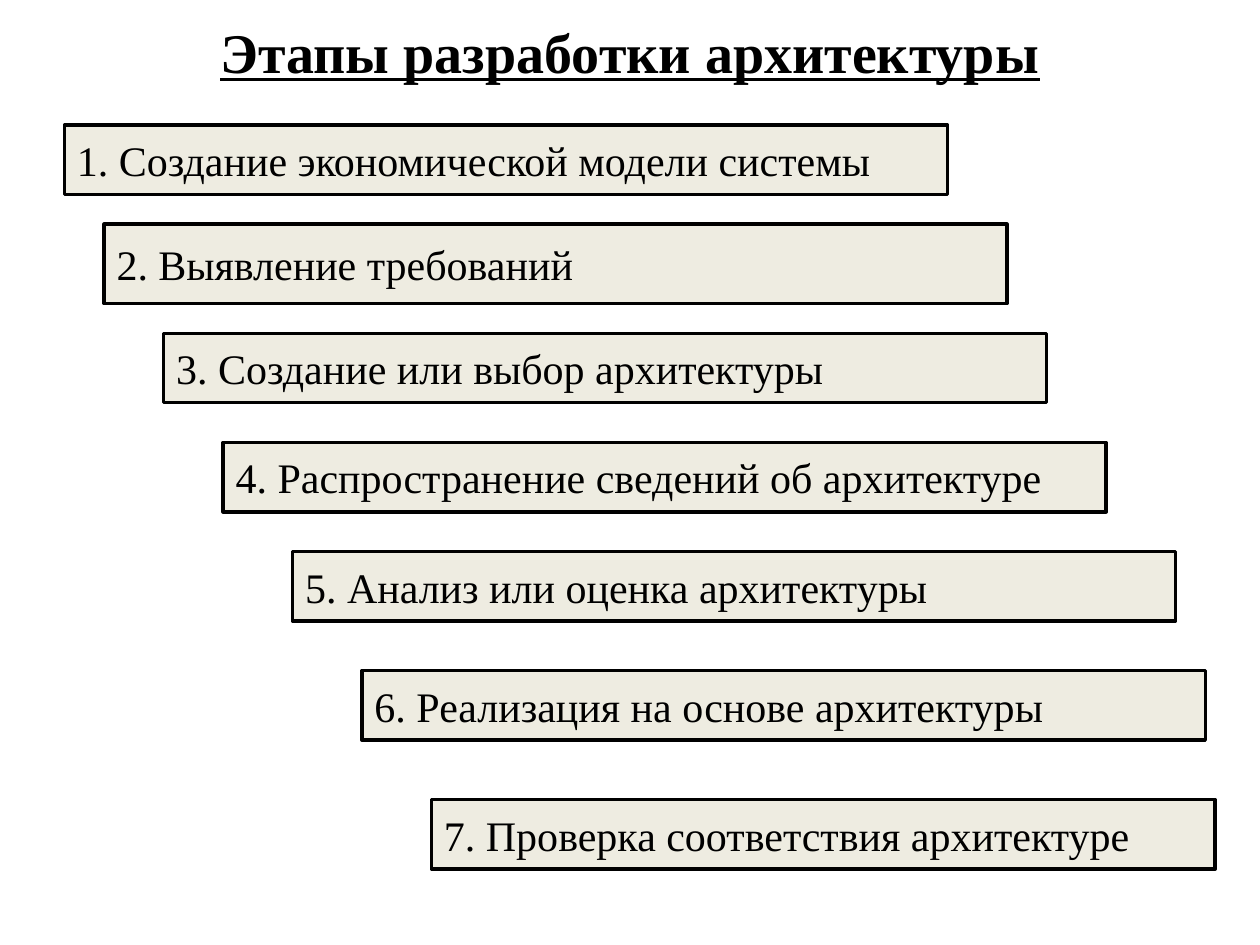
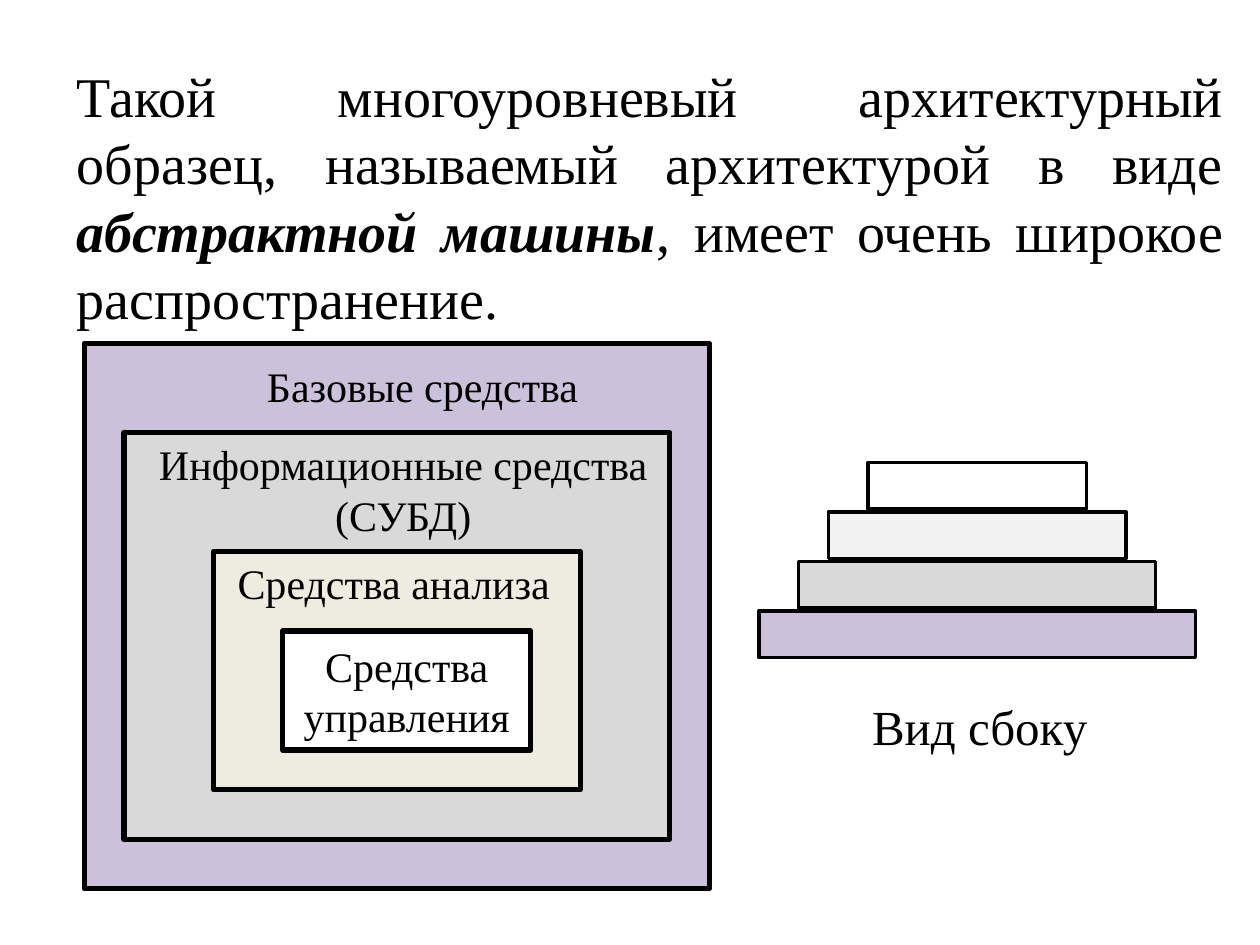
"""Two slides: the stages of architecture design and the abstract machine pattern."""
from pptx import Presentation
from pptx import util as u
from pptx.dml.color import RGBColor
from pptx.enum import shapes, text

BLACK = RGBColor(0x00, 0x00, 0x00)
WHITE = RGBColor(0xFF, 0xFF, 0xFF)
CREAM = RGBColor(0xEE, 0xEC, 0xE1)
PALE = RGBColor(0xF2, 0xF2, 0xF2)
GREY = RGBColor(0xD9, 0xD9, 0xD9)
LILAC = RGBColor(0xCC, 0xC1, 0xDA)

FONT = "Times New Roman"
LINE_HEIGHT = 1.2
CELL = u.Mm(2)
ORIGIN = (0.5, 0.6)

LEFT = text.PP_ALIGN.LEFT
CENTER = text.PP_ALIGN.CENTER
JUSTIFY = text.PP_ALIGN.JUSTIFY
TOP = text.MSO_ANCHOR.TOP
MIDDLE = text.MSO_ANCHOR.MIDDLE

STAGES = [
    ("1. Создание экономической модели системы", 6, 12, 89, 7),
    ("2. Выявление требований", 10, 22, 91, 8),
    ("3. Создание или выбор архитектуры", 16, 33, 89, 7),
    ("4. Распространение сведений об архитектуре", 22, 44, 89, 7),
    ("5. Анализ или оценка архитектуры", 29, 55, 89, 7),
    ("6. Реализация на основе архитектуры", 36, 67, 85, 7),
    ("7. Проверка соответствия архитектуре", 43, 80, 79, 7),
]

LAYERS = [
    ("", LILAC, 8, 34, 63, 55),
    ("", GREY, 12, 43, 55, 41),
    ("", CREAM, 21, 55, 37, 24),
    ("Средства\nуправления", WHITE, 28, 63, 25, 12),
]

LABELS = [
    ("Базовые средства", 24, 25.1, 35.1, 34, 6.3),
    ("Информационные средства\n(СУБД)", 24, 14, 43, 52.3, 11.4),
    ("Средства анализа", 24, 22.1, 55, 34.2, 6.3),
    ("Вид сбоку", 28, 86.1, 69, 24.3, 7.2),
]

SIDE_VIEW = [(WHITE, 87, 22), (PALE, 83, 30), (GREY, 80, 36), (LILAC, 76, 44)]
SIDE_TOP, SIDE_STEP, SIDE_HEIGHT = 46, 5, 4.7


def grid(col, row, cols, rows):
    """Turn a grid area into left, top, width and height."""
    cells = (col + ORIGIN[0], row + ORIGIN[1], cols, rows)
    return [round(count * CELL) for count in cells]


def format_text(box, size, align, anchor=MIDDLE, wrap=True):
    """Apply the common text style to every paragraph of a box."""
    frame = box.text_frame
    frame.word_wrap = wrap
    frame.vertical_anchor = anchor
    for para in frame.paragraphs:
        para.alignment = align
        para.line_spacing = u.Pt(size * LINE_HEIGHT)
        for span in para.runs:
            span.font.name = FONT
            span.font.size = u.Pt(size)
            span.font.color.rgb = BLACK


def add_title(page, words):
    """Add the underlined slide title."""
    box = page.shapes.add_textbox(*grid(5.85, 1.05, 114.3, 7))
    box.text_frame.text = words
    format_text(box, 32, CENTER)
    font = box.text_frame.paragraphs[0].runs[0].font
    font.bold = font.underline = True


def add_body(page, spans):
    """Add a justified paragraph from (words, emphasised) spans."""
    box = page.shapes.add_textbox(*grid(6, 5, 118.1, 87))
    para = box.text_frame.paragraphs[0]
    for words, emphasised in spans:
        span = para.add_run()
        span.text = words
        span.font.bold = span.font.italic = emphasised
    format_text(box, 32, JUSTIFY, TOP)


def add_panel(page, area, fill, border, words="", align=LEFT):
    """Add a bordered rectangle, with words if there are any."""
    panel = page.shapes.add_shape(shapes.MSO_SHAPE.RECTANGLE, *grid(*area))
    panel.shadow.inherit = False
    panel.fill.solid()
    panel.fill.fore_color.rgb = fill
    panel.line.color.rgb = BLACK
    panel.line.width = u.Pt(border)
    if words:
        panel.text_frame.text = words
        format_text(panel, 24, align)


def add_label(page, words, size, *area):
    """Add a free-standing caption that does not wrap."""
    box = page.shapes.add_textbox(*grid(*area))
    box.text_frame.text = words
    format_text(box, size, CENTER, TOP, wrap=False)


def build_stages(deck):
    """Build the staircase of design stages."""
    page = deck.slides.add_slide(deck.slide_layouts[6])
    add_title(page, "Этапы разработки архитектуры")
    for words, *area in STAGES:
        add_panel(page, area, CREAM, 2, words)


def build_abstract_machine(deck):
    """Build the nested layers and their side view."""
    page = deck.slides.add_slide(deck.slide_layouts[6])
    add_body(page, [
        ("Такой многоуровневый архитектурный образец, "
         "называемый архитектурой в виде ", False),
        ("абстрактной машины", True),
        (", имеет очень широкое распространение.", False),
    ])
    for words, fill, *area in LAYERS:
        add_panel(page, area, fill, 3, words, CENTER)
    for step, (fill, col, cols) in enumerate(SIDE_VIEW):
        row = SIDE_TOP + step * SIDE_STEP
        add_panel(page, (col, row, cols, SIDE_HEIGHT), fill, 2)
    for label in LABELS:
        add_label(page, *label)


def main():
    """Create the deck and save it."""
    deck = Presentation()
    deck.slide_width, deck.slide_height = u.Inches(10), u.Inches(7.5)
    build_stages(deck)
    build_abstract_machine(deck)
    deck.save("out.pptx")


if __name__ == "__main__":
    main()
